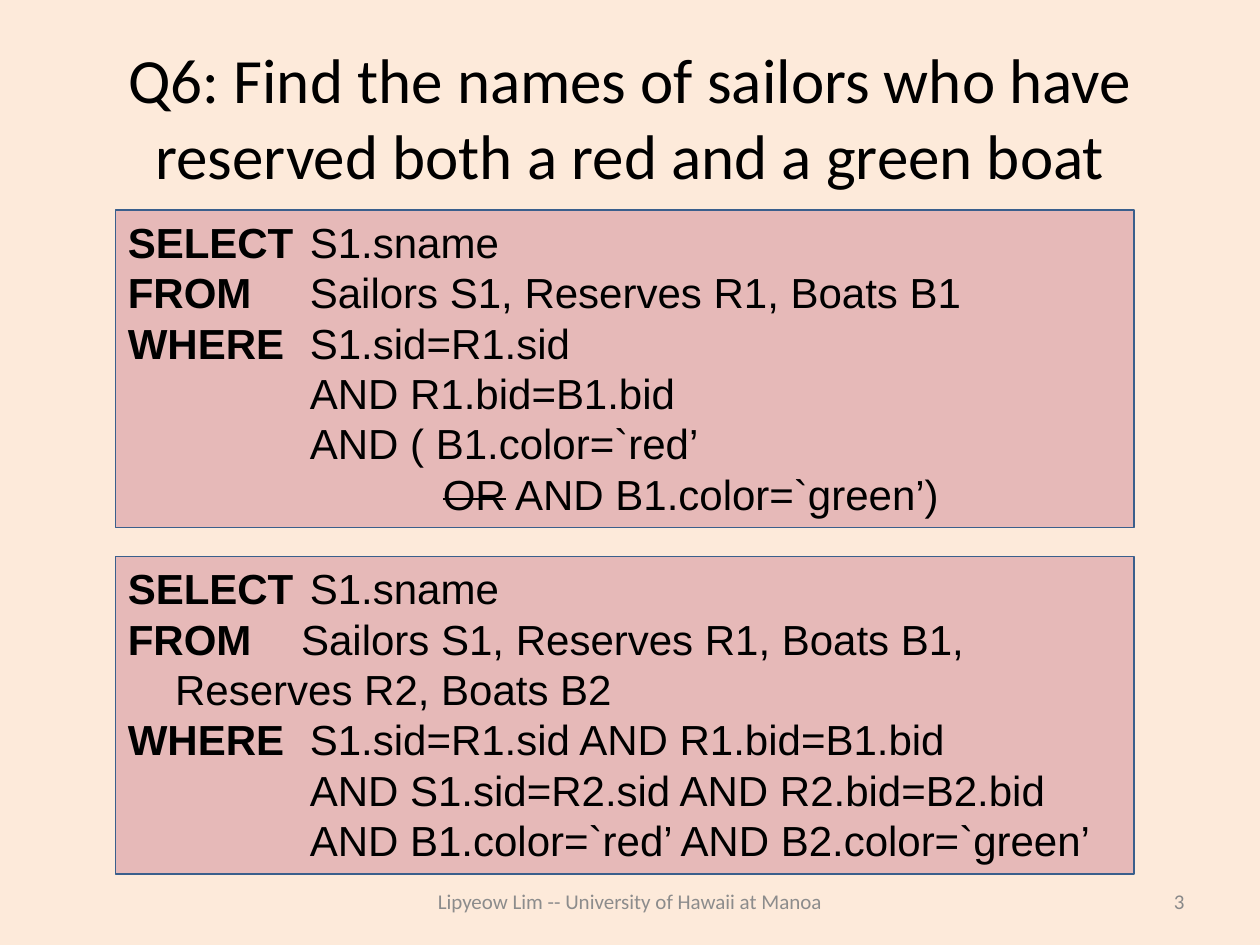
from dataclasses import dataclass
from lxml.etree import SubElement
from pptx import Presentation
from pptx.dml.color import RGBColor as Rgb
from pptx.enum.shapes import MSO_SHAPE as Shape
from pptx.enum.text import MSO_ANCHOR as Anchor, MSO_AUTO_SIZE as AutoSize, PP_ALIGN as Align
from pptx.oxml.ns import qn
from pptx.util import Pt


@dataclass(frozen=True)
class Theme:
    """Colours, fonts and type sizes of the slide."""
    background: str = "FDEADA"
    panel: str = "E6B9B8"
    border: str = "3A5F8C"
    ink: str = "000000"
    credit: str = "8C8C8C"
    number: str = "898989"
    heading_font: str = "Calibri"
    code_font: str = "Arial"
    title_size: int = 36
    code_size: int = 24
    footer_size: int = 12


THEME = Theme()
CLAUSE_COLUMN = 104
WRAP_INDENT = 27
OR_INDENT = 180

UNION_QUERY = [
    ("SELECT", "S1.sname", CLAUSE_COLUMN),
    ("FROM", "Sailors S1, Reserves R1, Boats B1", CLAUSE_COLUMN),
    ("WHERE", "S1.sid=R1.sid", CLAUSE_COLUMN),
    ("", "AND R1.bid=B1.bid", CLAUSE_COLUMN),
    ("", "AND ( B1.color=`red’", CLAUSE_COLUMN),
    ("OR", " AND B1.color=`green’)", OR_INDENT),
]
JOIN_QUERY = [
    ("SELECT", "S1.sname", CLAUSE_COLUMN),
    ("FROM", "Sailors S1, Reserves R1, Boats B1, Reserves R2, Boats B2", WRAP_INDENT),
    ("WHERE", "S1.sid=R1.sid AND R1.bid=B1.bid", CLAUSE_COLUMN),
    ("", "AND S1.sid=R2.sid AND R2.bid=B2.bid", CLAUSE_COLUMN),
    ("", "AND B1.color=`red’ AND B2.color=`green’", CLAUSE_COLUMN),
]


def style(run, font, size, color):
    """Give a run its typeface, size and colour."""
    run.font.name = font
    run.font.size = Pt(size)
    run.font.color.rgb = Rgb.from_string(color)


def add_label(slide, box, words, size, color, align):
    """Place a vertically centred line of heading or footer text in box."""
    label = slide.shapes.add_textbox(*map(Pt, box)).text_frame
    label.word_wrap = True
    label.vertical_anchor = Anchor.MIDDLE
    label.text = words
    line = label.paragraphs[0]
    line.alignment = align
    style(line.runs[0], THEME.heading_font, size, color)


def indent_clause(line, margin, first):
    """Set the hanging indent of a line and the tab stop of the clause column."""
    props = line._p.get_or_add_pPr()
    props.set("marL", str(Pt(margin)))
    props.set("indent", str(Pt(first)))
    stops = SubElement(props, qn("a:tabLst"))
    SubElement(stops, qn("a:tab"), pos=str(Pt(CLAUSE_COLUMN)), algn="l")


def add_query(slide, box, clauses):
    """Place a bordered panel in box and fill it with the clauses of a query."""
    panel = slide.shapes.add_shape(Shape.RECTANGLE, *map(Pt, box))
    panel.shadow.inherit = False
    panel.fill.solid()
    panel.fill.fore_color.rgb = Rgb.from_string(THEME.panel)
    panel.line.color.rgb = Rgb.from_string(THEME.border)
    panel.line.width = Pt(0.75)
    query = panel.text_frame
    query.word_wrap = True
    query.auto_size = AutoSize.SHAPE_TO_FIT_TEXT
    query.vertical_anchor = Anchor.TOP
    for index, (lead, clause, margin) in enumerate(clauses):
        line = query.paragraphs[0] if index == 0 else query.add_paragraph()
        line.alignment = Align.LEFT
        struck = lead == "OR"
        keyword = bool(lead) and not struck
        indent_clause(line, margin, -margin if keyword else 0)
        if lead:
            opening = line.add_run()
            opening.text = lead
            style(opening, THEME.code_font, THEME.code_size, THEME.ink)
            opening.font.bold = keyword
            if struck:
                opening._r.get_or_add_rPr().set("strike", "sngStrike")
        rest = line.add_run()
        rest.text = "\t" + clause if keyword else clause
        style(rest, THEME.code_font, THEME.code_size, THEME.ink)


def add_footer(slide, box):
    """Place the credit in the middle and the slide number at the right of box."""
    left, top, width, height = box
    add_label(slide, (left + 180, top, width - 360, height),
              "Lipyeow Lim -- University of Hawaii at Manoa",
              THEME.footer_size, THEME.credit, Align.CENTER)
    add_label(slide, (left + width - 168, top, 168, height), "3",
              THEME.footer_size, THEME.number, Align.RIGHT)


def build():
    """Build the slide and save it."""
    deck = Presentation()
    deck.slide_width, deck.slide_height = Pt(720), Pt(540)
    slide = deck.slides.add_slide(deck.slide_layouts[6])
    slide.background.fill.solid()
    slide.background.fill.fore_color.rgb = Rgb.from_string(THEME.background)
    add_label(slide, (36, 21.6, 648, 90),
              "Q6: Find the names of sailors who have reserved both a red and a green boat",
              THEME.title_size, THEME.ink, Align.CENTER)
    add_footer(slide, (36, 500.4, 648, 28.8))
    for row, clauses in enumerate((UNION_QUERY, JOIN_QUERY)):
        add_query(slide, (66, 120 + 198 * row, 582, 181.5), clauses)
    deck.save("out.pptx")


build()
